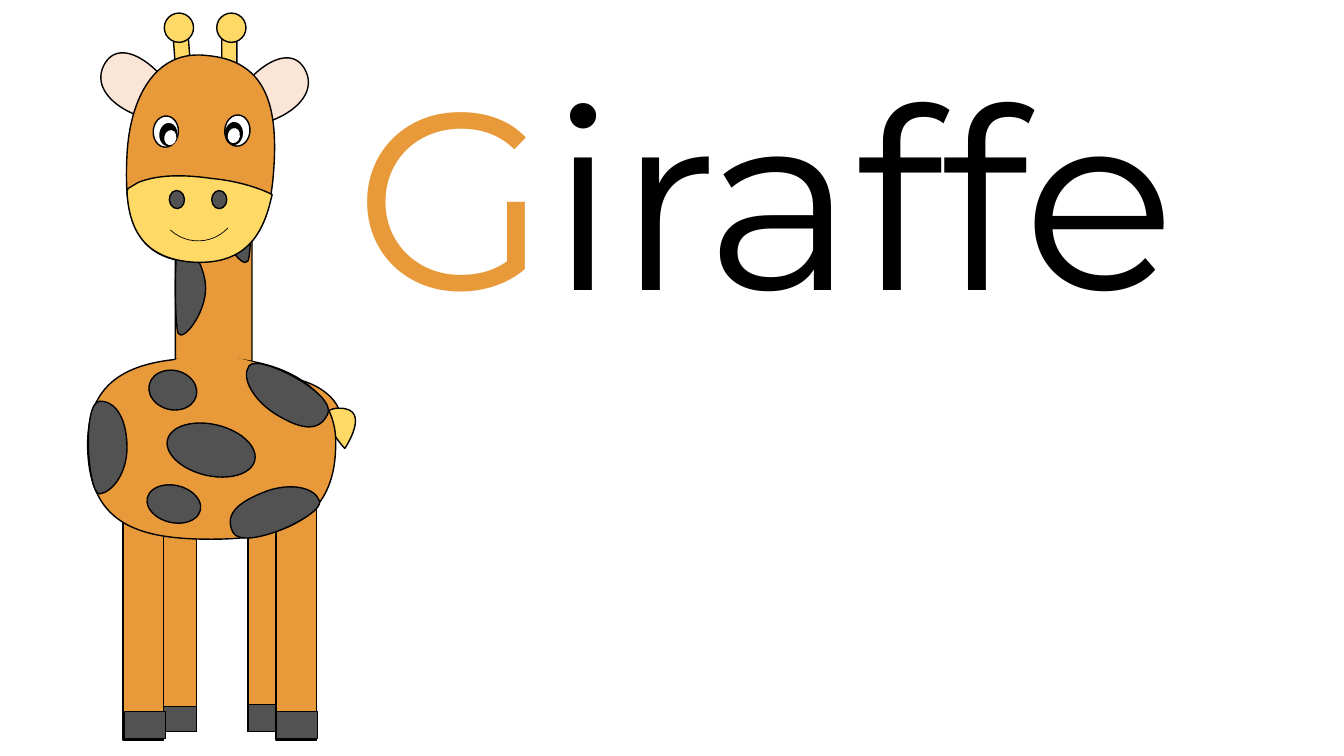
from math import cos, radians, sin

from lxml import etree
from pptx import Presentation
from pptx.dml.color import RGBColor
from pptx.enum.shapes import MSO_SHAPE
from pptx.enum.text import MSO_AUTO_SIZE
from pptx.oxml.ns import qn
from pptx.util import Inches, Pt

RECT, ROUND = MSO_SHAPE.RECTANGLE, MSO_SHAPE.ROUNDED_RECTANGLE
OVAL, ARC = MSO_SHAPE.OVAL, MSO_SHAPE.ARC
COLOURS = {"coat": "E89A3A", "yellow": "FFD966", "dark": "525252",
           "ear": "FBE5D6", "white": "FFFFFF", "black": "000000"}
TITLE = [("G", "coat"), ("iraffe", "black")]


def moved(path, dx=0, dy=0, mirror=False):
    """Shift a path; when mirrored, x becomes dx - x."""
    sign = -1 if mirror else 1
    return [tuple(dy + v if i % 2 else dx + sign * v for i, v in enumerate(seg))
            for seg in path]


# Paths, in inches: a start point, then (x, y) lines or six-number cubic curves
LEFT_EAR = [(1.73, 1.14), (1.89, 0.96, 1.26, 0.26, 1.04, 0.63),
            (0.82, 1.01, 1.58, 1.31, 1.73, 1.14)]
RIGHT_EAR = moved(LEFT_EAR, 4.06, 0.05, mirror=True)
RUMP = [(2.97, 4.08), (2.34, 3.56, 3.37, 3.73, 3.38, 4.15),
        (3.17, 4.06, 3.28, 4.03, 2.97, 4.08)]
TAIL = [(3.42, 4.45), (3.42, 4.45, 3.69, 4.05, 3.37, 4.05),
        (3.05, 4.04, 3.42, 4.45, 3.42, 4.45)]
BODY = [(0.87, 4.45), (0.85, 3.68, 1.42, 3.55, 2.1, 3.55),
        (2.78, 3.55, 3.37, 3.83, 3.33, 4.45), (3.31, 5.18, 2.78, 5.35, 2.1, 5.35),
        (1.42, 5.35, 0.89, 5.23, 0.87, 4.45)]
LEFT_NECK_SPOT = [(2.04, 2.86), (2.04, 2.61, 1.82, 2.32, 1.77, 2.4),
                  (1.73, 2.48, 1.73, 3.24, 1.77, 3.31),
                  (1.82, 3.39, 2.04, 3.11, 2.04, 2.86)]
RIGHT_NECK_SPOT = moved(LEFT_NECK_SPOT, 4.23, -0.72, mirror=True)
HEAD = [(1.93, 2.6), (1.3, 2.58, 1.23, 2.1, 1.26, 1.53),
        (1.29, 0.97, 1.54, 0.49, 2.05, 0.55), (2.64, 0.6, 2.75, 1.05, 2.72, 1.62),
        (2.69, 2.18, 2.56, 2.61, 1.93, 2.6)]
MUZZLE = [(1.27, 1.87), (1.37, 1.81), (1.57, 1.73, 1.82, 1.73, 2.1, 1.77),
          (2.31, 1.79, 2.5, 1.84, 2.66, 1.91), (2.7, 1.93), (2.67, 2.05),
          (2.57, 2.4, 2.37, 2.63, 1.9, 2.6), (1.43, 2.56, 1.28, 2.28, 1.26, 1.9),
          (1.27, 1.87)]
NECK_JOIN = [(1.69, 3.6), (1.77, 3.55), (1.89, 3.5, 2.04, 3.49, 2.2, 3.52),
             (2.28, 3.54, 2.36, 3.56, 2.43, 3.59), (2.48, 3.62), (2.28, 3.8),
             (2.21, 3.86, 2.15, 3.93, 2.1, 3.99), (2.09, 4), (1.69, 3.6)]
REAR_SPOT = [(1.26, 4.44), (1.26, 4.19, 1.17, 3.98, 0.99, 3.98),
             (0.81, 3.99, 0.87, 4.91, 0.99, 4.9), (1.12, 4.88, 1.26, 4.69, 1.26, 4.44)]
SHOULDER_SPOT = [(2.72, 4.1), (2.93, 4.23, 3.15, 4.32, 3.25, 4.11),
                 (3.35, 3.91, 2.56, 3.5, 2.47, 3.63),
                 (2.39, 3.75, 2.51, 3.96, 2.72, 4.1)]
BELLY_SPOT = [(2.65, 4.87), (2.41, 4.96, 2.21, 5.08, 2.31, 5.28),
              (2.41, 5.48, 3.22, 5.11, 3.17, 4.97),
              (3.12, 4.83, 2.88, 4.79, 2.65, 4.87)]

# Back to front: (preset or path, (left, top, width, height), fill, rotation, line)
LEGS = [part for leg, hoof in [
    ((2.46, 4.91), (2.46, 6.99, 0.39, 0.27)), ((2.74, 4.99), (2.74, 7.06, 0.41, 0.27)),
    ((1.55, 4.91), (1.52, 7.01, 0.43, 0.25)), ((1.22, 4.99), (1.23, 7.06, 0.41, 0.27)),
] for part in [(RECT, (*leg, 0.4, 2.35), "coat", 0, 1), (RECT, hoof, "dark", 0, 1)]]
RIGHT_EYE, LEFT_EYE = [
    [(OVAL, (*white, 0.25, 0.31), "white", 184.3, 1),
     (OVAL, (*pupil, 0.18, 0.23), "black", 184.9, 0),
     (OVAL, (*glint, 0.12, 0.15), "white", 190.7, 0)]
    for white, pupil, glint in [((2.23, 1.14), (2.23, 1.21), (2.26, 1.27)),
                                ((1.52, 1.15), (1.58, 1.22), (1.63, 1.29))]]
GIRAFFE = [
    (ROUND, (2.2, 0.33, 0.15, 0.93), "yellow", 0, 1),
    (OVAL, (2.15, 0.13, 0.29, 0.29), "yellow", 0, 1),
    (LEFT_EAR, (1.13, 0.45, 0.51, 0.86), "ear", 305.5, 1),
    (RUMP, (2.93, 3.62, 0.3, 0.68), "coat", 106.9, 1),
    (TAIL, (3.24, 4.05, 0.29, 0.41), "yellow", 0, 1),
    *LEGS,
    (ROUND, (1.74, 1.16, 0.76, 3.56), "coat", 0, 1),
    (BODY, (0.87, 3.55, 2.46, 1.8), "coat", 0, 1),
    (RIGHT_EAR, (2.42, 0.5, 0.51, 0.86), "ear", 54.5, 1),
    (RIGHT_NECK_SPOT, (2.19, 1.67, 0.3, 0.94), "dark", 0, 1),
    (ROUND, (1.75, 0.32, 0.15, 0.93), "yellow", 355.6, 1),
    (OVAL, (1.63, 0.13, 0.29, 0.29), "yellow", 0, 1),
    (HEAD, (0.97, 0.84, 2.05, 1.47), "coat", 273.3, 1),
    (LEFT_NECK_SPOT, (1.74, 2.39, 0.3, 0.94), "dark", 0, 1),
    (MUZZLE, (1.23, 1.75, 1.43, 0.85), "yellow", 188, 1),
    (OVAL, (1.84, 4.02, 0.51, 0.89), "dark", 283.3, 1),
    (NECK_JOIN, (1.81, 3.35, 0.49, 0.78), "coat", 280.4, 0),
    (OVAL, (1.68, 1.89, 0.15, 0.18), "dark", 356.6, 1),
    (OVAL, (2.1, 1.89, 0.15, 0.18), "dark", 180, 1),
    *RIGHT_EYE,
    (OVAL, (1.54, 4.73, 0.37, 0.54), "dark", 283.3, 1),
    (moved(NECK_JOIN, 0.19, 0.04), (2.01, 3.39, 0.49, 0.78), "coat", 280.4, 0),
    (OVAL, (1.52, 3.63, 0.39, 0.48), "dark", 283.3, 1),
    (REAR_SPOT, (0.88, 3.98, 0.39, 0.91), "dark", 0, 1),
    (SHOULDER_SPOT, (2.62, 3.47, 0.41, 0.92), "dark", 122, 1),
    (BELLY_SPOT, (2.51, 4.61, 0.41, 0.92), "dark", 250.1, 1),
    *LEFT_EYE,
    (ARC, (1.56, 1.58, 0.81, 0.81), None, 132.9, 0.5),
]


def rgb(name):
    return RGBColor.from_string(COLOURS[name])


def add_outline(shapes, path, box, rotation):
    """Add a freeform with true curves whose frame, once rotated, fits the path."""
    left, top, width, height = box
    builder = shapes.build_freeform(Inches(left), Inches(top))
    builder.add_line_segments([(Inches(left + width), Inches(top + height))])
    sp = builder.convert_to_shape()
    outline = next(sp.element.iter(qn("a:path")))
    for child in list(outline):
        outline.remove(child)
    c, n = cos(radians(rotation)), sin(radians(rotation))
    for i, seg in enumerate(path):
        tag = "a:moveTo" if i == 0 else "a:lnTo" if len(seg) == 2 else "a:cubicBezTo"
        step = etree.SubElement(outline, qn(tag))
        for x, y in zip(seg[::2], seg[1::2]):
            dx, dy = x - left - width / 2, y - top - height / 2
            etree.SubElement(step, qn("a:pt"),
                             x=str(Inches(width / 2 + dx * c + dy * n)),
                             y=str(Inches(height / 2 - dx * n + dy * c)))
    etree.SubElement(outline, qn("a:close"))
    return sp


def add_part(shapes, geometry, box, fill, rotation, line):
    if isinstance(geometry, list):
        sp = add_outline(shapes, geometry, box, rotation)
    else:
        sp = shapes.add_shape(geometry, *map(Inches, box))
    sp.rotation = rotation
    sp.shadow.inherit = False
    if fill:
        sp.fill.solid()
        sp.fill.fore_color.rgb = rgb(fill)
    else:
        sp.fill.background()
    if line:
        sp.line.color.rgb = rgb("black")
        sp.line.width = Pt(line)
    else:
        sp.line.fill.background()


def add_text(s, box, runs, size, font):
    tf = s.shapes.add_textbox(*map(Inches, box)).text_frame
    tf.word_wrap = True
    tf.auto_size = MSO_AUTO_SIZE.SHAPE_TO_FIT_TEXT
    for text, colour in runs:
        r = tf.paragraphs[0].add_run()
        r.text = text
        r.font.size, r.font.name = Pt(size), font
        r.font.color.rgb = rgb(colour)


def main():
    prs = Presentation()
    prs.slide_width, prs.slide_height = Inches(7.5 * 16 / 9), Inches(7.5)
    s = prs.slides.add_slide(prs.slide_layouts[6])
    add_text(s, (3.42, 0.33, 10.23, 3.13), TITLE, size=180, font="Montserrat")
    giraffe = s.shapes.add_group_shape()
    for part in GIRAFFE:
        add_part(giraffe.shapes, *part)
    prs.save("out.pptx")


if __name__ == "__main__":
    main()
